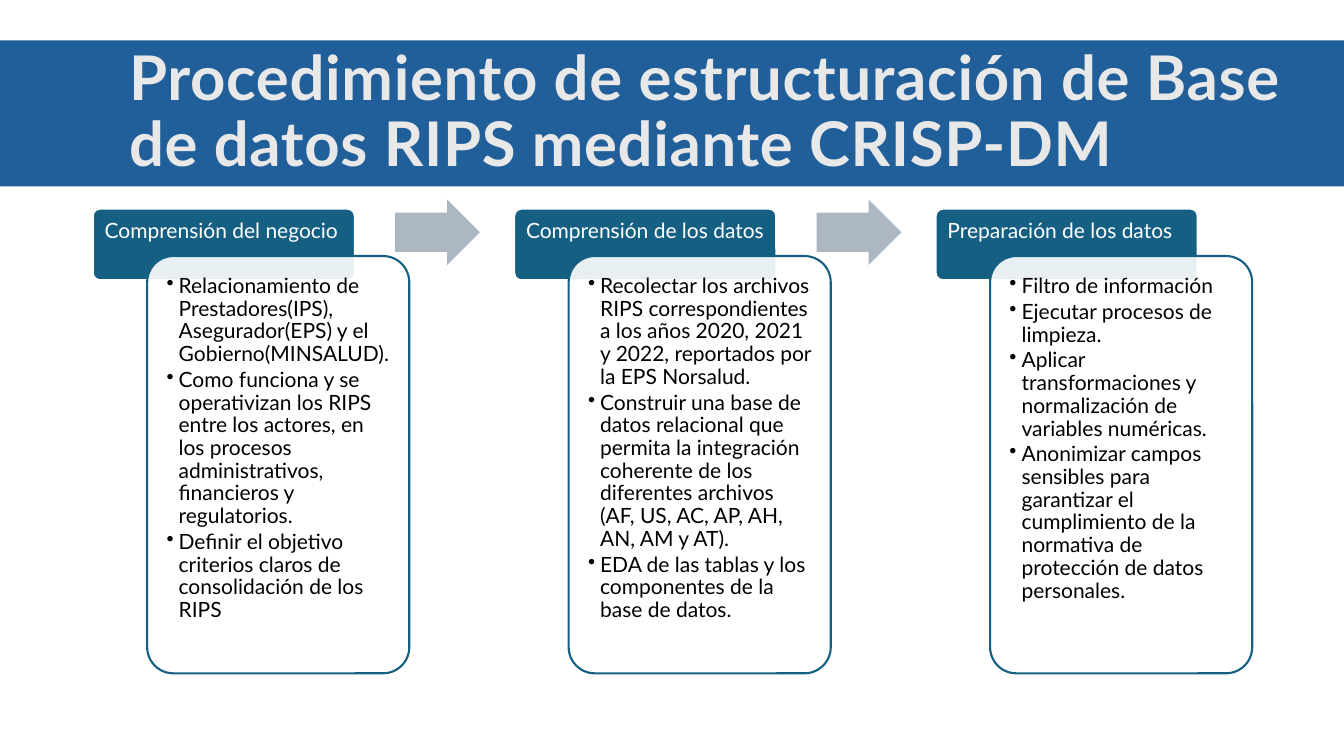
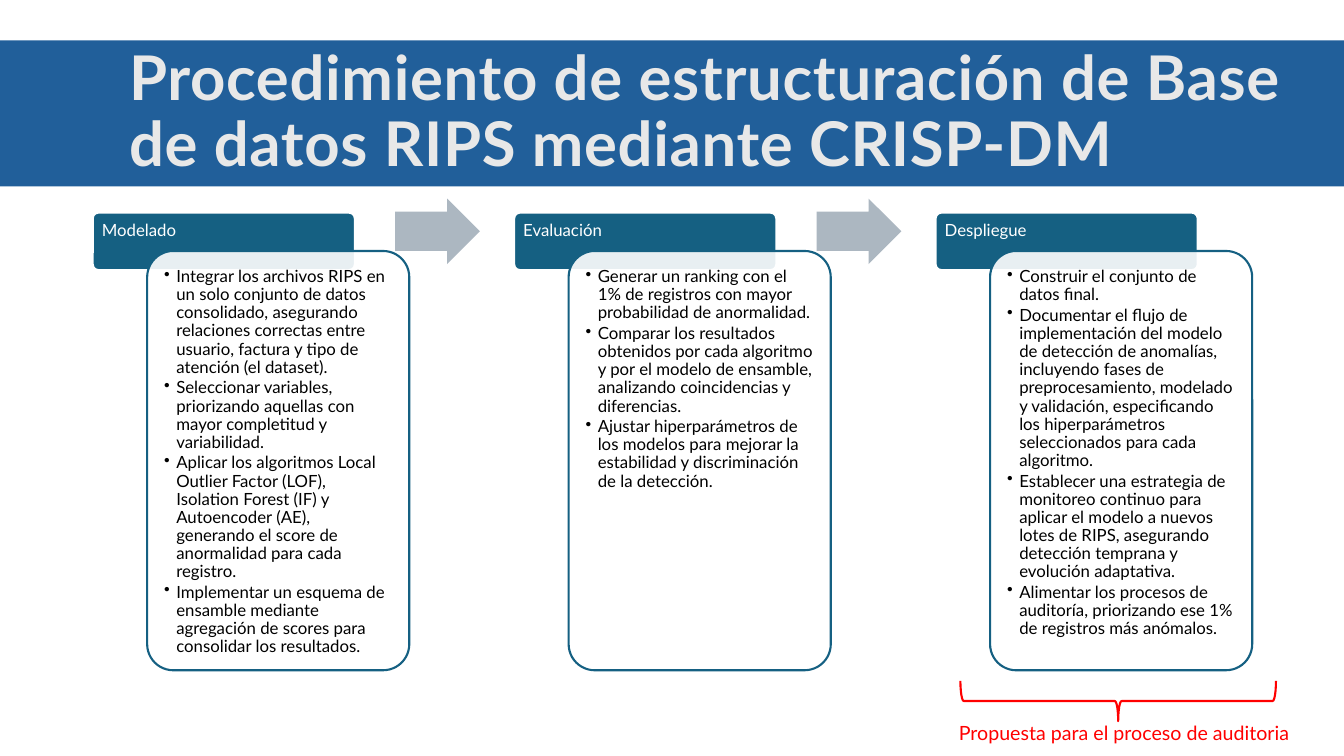
from lxml.etree import SubElement
from pptx import Presentation
from pptx.dml.color import RGBColor
from pptx.enum.shapes import MSO_SHAPE as Shape
from pptx.enum.text import MSO_ANCHOR as Anchor, PP_ALIGN as Align
from pptx.oxml.ns import qn
from pptx.util import Inches, Pt

BAND_BLUE = RGBColor(0x21, 0x5F, 0x9A)
TITLE_GREY = RGBColor(0xE8, 0xE8, 0xE8)
TEAL = RGBColor(0x15, 0x60, 0x82)
ARROW_GREY = RGBColor(0xAC, 0xB7, 0xC1)
WHITE = RGBColor(0xFF, 0xFF, 0xFF)
BLACK = RGBColor(0, 0, 0)
RED = RGBColor(0xFF, 0, 0)
FONT = "Lato"

TITLE = "Procedimiento de estructuración de Base de datos RIPS mediante CRISP-DM"
PROPOSAL = "Propuesta para el proceso de auditoria"

PREPARATION = [
    ("Comprensión del negocio", [
        "Relacionamiento de Prestadores(IPS), Asegurador(EPS) y el Gobierno(MINSALUD).",
        "Como funciona y se operativizan los RIPS entre los actores, en los procesos "
        "administrativos, financieros y regulatorios.",
        "Definir el objetivo criterios claros de consolidación de los RIPS",
    ]),
    ("Comprensión de los datos", [
        "Recolectar los archivos RIPS correspondientes a los años 2020, 2021 y 2022, "
        "reportados por la EPS Norsalud.",
        "Construir una base de datos relacional que permita la integración coherente de "
        "los diferentes archivos (AF, US, AC, AP, AH, AN, AM y AT).",
        "EDA de las tablas y los componentes de la base de datos.",
    ]),
    ("Preparación de los datos", [
        "Filtro de información",
        "Ejecutar procesos de limpieza.",
        "Aplicar transformaciones y normalización de variables numéricas.",
        "Anonimizar campos sensibles para garantizar el cumplimiento de la normativa de "
        "protección de datos personales.",
    ]),
]
MODELLING = [
    ("Modelado", [
        "Integrar los archivos RIPS en un solo conjunto de datos consolidado, asegurando "
        "relaciones correctas entre usuario, factura y tipo de atención (el dataset).",
        "Seleccionar variables, priorizando aquellas con mayor completitud y variabilidad.",
        "Aplicar los algoritmos Local Outlier Factor (LOF), Isolation Forest (IF) y "
        "Autoencoder (AE), generando el score de anormalidad para cada registro.",
        "Implementar un esquema de ensamble mediante agregación de scores para consolidar "
        "los resultados.",
    ]),
    ("Evaluación", [
        "Generar un ranking con el 1% de registros con mayor probabilidad de anormalidad.",
        "Comparar los resultados obtenidos por cada algoritmo y por el modelo de ensamble, "
        "analizando coincidencias y diferencias.",
        "Ajustar hiperparámetros de los modelos para mejorar la estabilidad y "
        "discriminación de la detección.",
    ]),
    ("Despliegue", [
        "Construir el conjunto de datos final.",
        "Documentar el flujo de implementación del modelo de detección de anomalías, "
        "incluyendo fases de preprocesamiento, modelado y validación, especificando los "
        "hiperparámetros seleccionados para cada algoritmo.",
        "Establecer una estrategia de monitoreo continuo para aplicar el modelo a nuevos "
        "lotes de RIPS, asegurando detección temprana y evolución adaptativa.",
        "Alimentar los procesos de auditoría, priorizando ese 1% de registros más anómalos.",
    ]),
]

# Vertical places in inches, text size in points
PREPARATION_LAYOUT = dict(header_top=2.07, header_height=0.71, card_top=2.54,
                          card_height=4.14, arrow_top=1.98, size=15)
MODELLING_LAYOUT = dict(header_top=2.11, header_height=0.57, card_top=2.49,
                        card_height=4.16, arrow_top=1.97, size=12)

FIRST_LEFT, STEP_PITCH, STEP_WIDTH = 0.92, 4.18, 2.6
CARD_SHIFT, ARROW_SHIFT = 0.54, 3.0
BULLET_INDENT = Inches(0.12)


def add_box(slide, preset, left, top, width, height, fill=None, line=None):
    box = slide.shapes.add_shape(preset, Inches(left), Inches(top),
                                 Inches(width), Inches(height))
    box.shadow.inherit = False
    if fill is None:
        box.fill.background()
    else:
        box.fill.solid()
        box.fill.fore_color.rgb = fill
    if line is None:
        box.line.fill.background()
    else:
        box.line.color.rgb = line
        box.line.width = Pt(1.5)
    return box


def style(paragraph, size, color, align=Align.LEFT, spacing=0.9, bold=False):
    paragraph.alignment = align
    paragraph.line_spacing = spacing
    font = paragraph.font
    font.name, font.size, font.bold = FONT, Pt(size), bold
    font.color.rgb = color


def set_margins(frame, margin):
    frame.margin_left = frame.margin_right = margin
    frame.margin_top = frame.margin_bottom = margin


def add_title(slide):
    band = add_box(slide, Shape.RECTANGLE, 0, 0.4, 13.33, 1.45, BAND_BLUE)
    frame = band.text_frame
    frame.word_wrap = True
    frame.vertical_anchor = Anchor.MIDDLE
    frame.margin_left = Inches(1.28)
    paragraph = frame.paragraphs[0]
    paragraph.text = TITLE
    style(paragraph, 44, TITLE_GREY, bold=True)
    paragraph.runs[0]._r.get_or_add_rPr().set("spc", "50")


def add_header(slide, left, name, layout):
    header = add_box(slide, Shape.ROUNDED_RECTANGLE, left, layout["header_top"],
                     STEP_WIDTH, layout["header_height"], TEAL, WHITE)
    header.adjustments[0] = 0.1
    frame = header.text_frame
    frame.word_wrap = True
    frame.vertical_anchor = Anchor.TOP
    set_margins(frame, Pt(layout["size"] * 0.56) - Inches(0.02))
    frame.margin_right = 0
    frame.paragraphs[0].text = name
    style(frame.paragraphs[0], layout["size"], WHITE)


def add_card(slide, left, tasks, layout):
    card = add_box(slide, Shape.ROUNDED_RECTANGLE, left, layout["card_top"],
                   STEP_WIDTH, layout["card_height"], WHITE, TEAL)
    card.adjustments[0] = 0.1
    fill_color = card._element.spPr.find(qn("a:solidFill")).find(qn("a:srgbClr"))
    SubElement(fill_color, qn("a:alpha"), val="90000")
    size = layout["size"]
    frame = card.text_frame
    frame.word_wrap = True
    frame.vertical_anchor = Anchor.TOP
    set_margins(frame, Pt(size * 0.56))
    for i, task in enumerate(tasks):
        paragraph = frame.add_paragraph() if i else frame.paragraphs[0]
        paragraph.text = task
        props = paragraph._p.get_or_add_pPr()
        props.set("marL", str(BULLET_INDENT))
        props.set("indent", str(-BULLET_INDENT))
        SubElement(props, qn("a:buChar"), char="•")
        style(paragraph, size, BLACK)
        paragraph.space_after = Pt(size * 0.15)


def add_process(slide, steps, layout):
    for i, (name, tasks) in enumerate(steps):
        left = FIRST_LEFT + i * STEP_PITCH
        add_header(slide, left, name, layout)
        add_card(slide, left + CARD_SHIFT, tasks, layout)
        if i < len(steps) - 1:
            arrow = add_box(slide, Shape.RIGHT_ARROW, left + ARROW_SHIFT,
                            layout["arrow_top"], 0.84, 0.65, ARROW_GREY)
            arrow.adjustments[0] = 0.6


def add_proposal(slide):
    caption = slide.shapes.add_textbox(Inches(9.41), Inches(7.1), Inches(3.48), Inches(0.34))
    caption.text_frame.word_wrap = False
    paragraph = caption.text_frame.paragraphs[0]
    paragraph.text = PROPOSAL
    style(paragraph, 14, RED, Align.CENTER, spacing=1.0)
    brace = add_box(slide, Shape.RIGHT_BRACE, 10.89, 5.39, 0.4, 3.13, line=RED)
    brace.rotation = 90


def main():
    deck = Presentation()
    deck.slide_width, deck.slide_height = Inches(13.33), Inches(7.5)
    for steps, layout in ((PREPARATION, PREPARATION_LAYOUT), (MODELLING, MODELLING_LAYOUT)):
        slide = deck.slides.add_slide(deck.slide_layouts[6])
        add_title(slide)
        add_process(slide, steps, layout)
    add_proposal(slide)
    deck.save("out.pptx")


if __name__ == "__main__":
    main()
